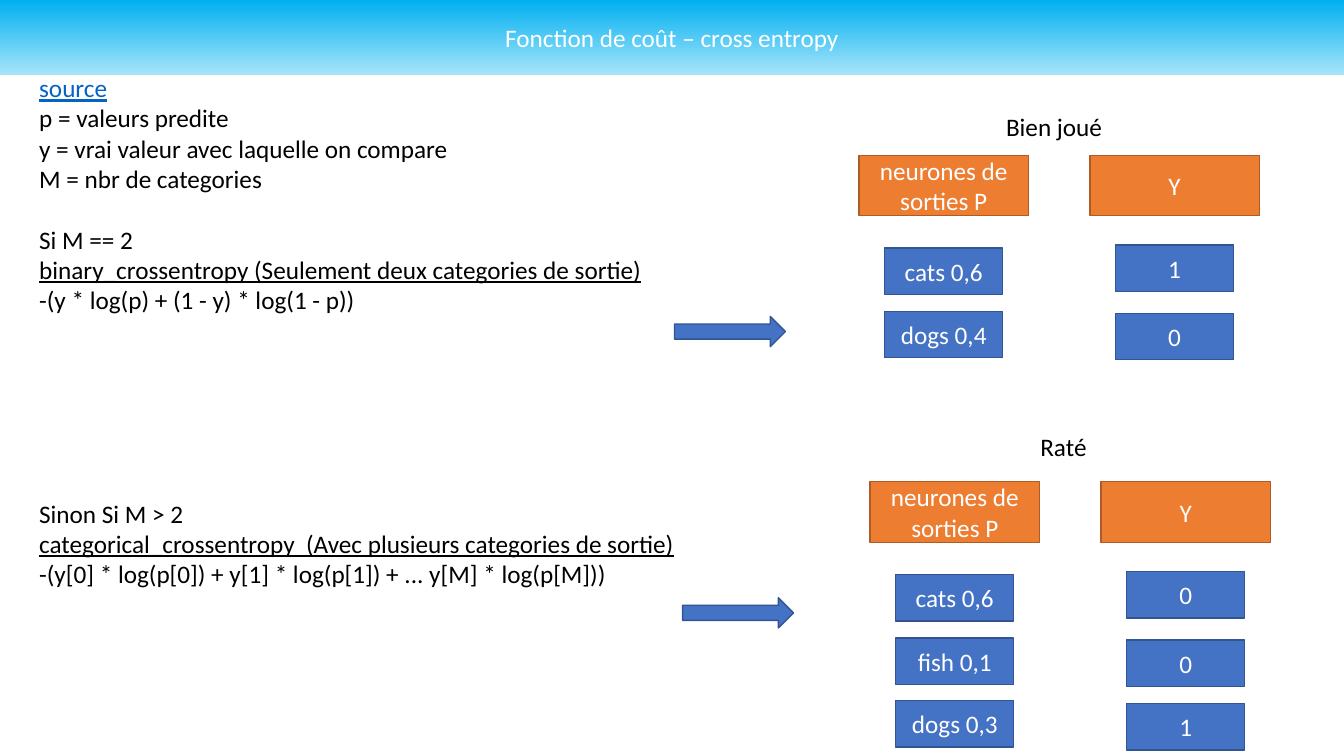
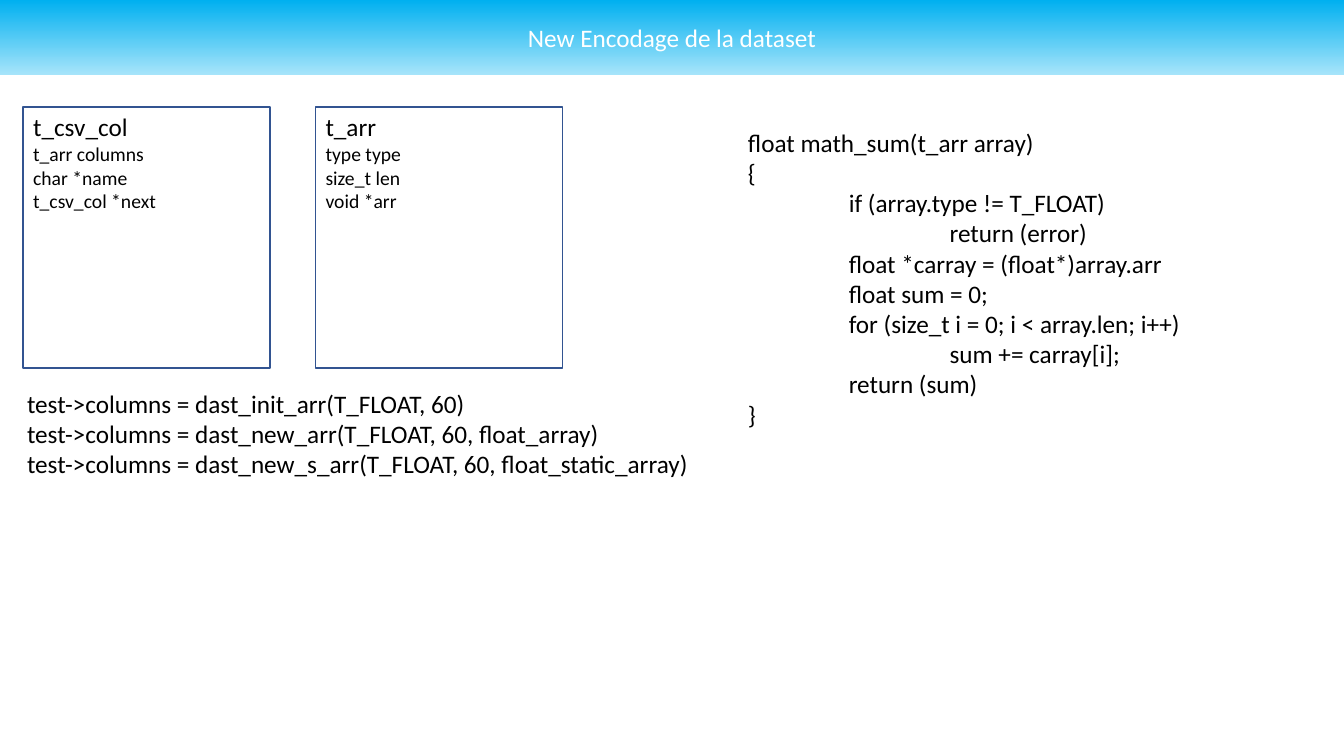
"""Build two slides on cross entropy cost and data set encoding."""
from pptx import Presentation
from pptx.dml.color import RGBColor
from pptx.enum.shapes import MSO_SHAPE
from pptx.enum.text import MSO_ANCHOR, PP_ALIGN
from pptx.util import Inches, Pt

RECTANGLE, ARROW = MSO_SHAPE.RECTANGLE, MSO_SHAPE.RIGHT_ARROW
TOP, MIDDLE = MSO_ANCHOR.TOP, MSO_ANCHOR.MIDDLE
LEFT, CENTER = PP_ALIGN.LEFT, PP_ALIGN.CENTER

WIDTH, HEIGHT, BAND_HEIGHT = 13.33, 7.5, 0.74
FONT, BODY_SIZE, SMALL_SIZE, LINE_HEIGHT = "Calibri", 18, 14, 21.8
BLACK, WHITE, LINK = "000000", "FFFFFF", "0563C1"
BLUE, BLUE_EDGE = "4472C4", "325491"
ORANGE, ORANGE_EDGE = "ED7D31", "AF5C24"
BAND_COLORS = ("00B0F0", "A6E4FA")

COST_TITLE = "Fonction de coût – cross entropy"
COST_LINES = [
    {"text": "source", "color": LINK, "underline": True},
    {"text": "p = valeurs predite"},
    {"text": "y = vrai valeur avec laquelle on compare"},
    {"text": "M = nbr de categories"},
    {"text": "Si M == 2", "skipped_lines": 1},
    {"text": "binary_crossentropy (Seulement deux categories de sortie)", "underline": True},
    {"text": "-(y * log(p) + (1 - y) * log(1 - p))"},
    {"text": "Sinon Si M > 2", "skipped_lines": 6},
    {"text": "categorical_crossentropy  (Avec plusieurs categories de sortie)", "underline": True},
    {"text": "-(y[0] * log(p[0]) + y[1] * log(p[1]) + ... y[M] * log(p[M]))"},
]
PANELS = [
    {"caption": "Bien joué", "caption_box": (9.88, 1.06, 1.17, 0.4), "origin": (8.52, 1.54),
     "outputs": ["cats 0,6", "dogs 0,4"], "targets": ["1", "0"], "arrow": (6.69, 3.14)},
    {"caption": "Raté", "caption_box": (10.22, 4.23, 0.66, 0.4), "origin": (8.63, 4.78),
     "outputs": ["cats 0,6", "fish 0,1", "dogs 0,3"], "targets": ["0", "0", "1"],
     "arrow": (6.77, 5.93)},
]
COLUMNS = [
    ("neurones de sorties P", "outputs", (0.92, 1.55, 2.17)),
    ("Y", "targets", (0.89, 1.57, 2.2)),
]
COLUMN_STEP = 2.29
HEADER_SIZE, CELL_SIZE, ARROW_SIZE = (1.68, 0.6), (1.17, 0.46), (1.1, 0.3)

ENCODING_TITLE = "New Encodage de la dataset"
STRUCTURES = [
    ("t_csv_col", ["t_arr columns", "char *name", "t_csv_col *next"]),
    ("t_arr", ["type type", "size_t len", "void *arr"]),
]
STRUCTURE_LEFT, STRUCTURE_TOP, STRUCTURE_STEP = 0.23, 1.06, 2.9
STRUCTURE_SIZE = (2.45, 2.59)
CALLS = [
    "test->columns = dast_init_arr(T_FLOAT, 60)",
    "test->columns = dast_new_arr(T_FLOAT, 60, float_array)",
    "test->columns = dast_new_s_arr(T_FLOAT, 60, float_static_array)",
]
SUM_FUNCTION = [
    (0, "float math_sum(t_arr array)"),
    (0, "{"),
    (1, "if (array.type != T_FLOAT)"),
    (2, "return (error)"),
    (1, "float *carray = (float*)array.arr"),
    (1, "float sum = 0;"),
    (1, "for (size_t i = 0; i < array.len; i++)"),
    (2, "sum += carray[i];"),
    (1, "return (sum)"),
    (0, "}"),
]


def rgb(color):
    return RGBColor.from_string(color)


def write(frame, lines, color=BLACK, align=LEFT):
    for index, line in enumerate(lines):
        paragraph = frame.paragraphs[0] if index == 0 else frame.add_paragraph()
        paragraph.alignment = align
        if "skipped_lines" in line:
            paragraph.space_before = Pt(line["skipped_lines"] * LINE_HEIGHT)
        if line.get("depth"):
            paragraph._p.get_or_add_pPr().set("marL", str(Inches(line["depth"])))
        run = paragraph.add_run()
        run.text = line["text"]
        run.font.name = FONT
        run.font.size = Pt(line.get("size", BODY_SIZE))
        run.font.underline = line.get("underline", False)
        run.font.color.rgb = rgb(line.get("color", color))


def add_text(slide, box, lines):
    frame = slide.shapes.add_textbox(*map(Inches, box)).text_frame
    frame.word_wrap = False
    write(frame, lines)


def add_box(slide, box, fill=None, edge=None, kind=RECTANGLE):
    shape = slide.shapes.add_shape(kind, *map(Inches, box))
    shape.shadow.inherit = False
    if fill:
        shape.fill.solid()
        shape.fill.fore_color.rgb = rgb(fill)
    else:
        shape.fill.background()
    if edge:
        shape.line.color.rgb = rgb(edge)
        shape.line.width = Pt(1)
    else:
        shape.line.fill.background()
    return shape


def add_label(shape, text):
    shape.text_frame.word_wrap = True
    shape.text_frame.vertical_anchor = MIDDLE
    write(shape.text_frame, [{"text": text}], WHITE, CENTER)


def add_titled_slide(presentation, title):
    slide = presentation.slides.add_slide(presentation.slide_layouts[6])
    band = add_box(slide, (0, 0, WIDTH, BAND_HEIGHT))
    band.fill.gradient()
    band.fill.gradient_angle = 270
    for stop, color in zip(band.fill.gradient_stops, BAND_COLORS):
        stop.color.rgb = rgb(color)
    add_label(band, title)
    return slide


def add_panel(slide, panel):
    left, top = panel["origin"]
    inset = (HEADER_SIZE[0] - CELL_SIZE[0]) / 2
    add_text(slide, panel["caption_box"], [{"text": panel["caption"]}])
    for column, (header, key, drops) in enumerate(COLUMNS):
        x = left + column * COLUMN_STEP
        add_label(add_box(slide, (x, top, *HEADER_SIZE), ORANGE, ORANGE_EDGE), header)
        for text, drop in zip(panel[key], drops):
            cell = add_box(slide, (x + inset, top + drop, *CELL_SIZE), BLUE, BLUE_EDGE)
            add_label(cell, text)
    add_box(slide, (*panel["arrow"], *ARROW_SIZE), BLUE, BLUE_EDGE, ARROW)


def build_cost_slide(presentation):
    slide = add_titled_slide(presentation, COST_TITLE)
    add_text(slide, (0.29, 0.67, 6.57, 5.25), COST_LINES)
    for panel in PANELS:
        add_panel(slide, panel)


def build_encoding_slide(presentation):
    slide = add_titled_slide(presentation, ENCODING_TITLE)
    for index, (name, fields) in enumerate(STRUCTURES):
        left = STRUCTURE_LEFT + index * STRUCTURE_STEP
        shape = add_box(slide, (left, STRUCTURE_TOP, *STRUCTURE_SIZE), edge=BLUE_EDGE)
        shape.text_frame.vertical_anchor = TOP
        field_lines = [{"text": field, "size": SMALL_SIZE} for field in fields]
        write(shape.text_frame, [{"text": name}] + field_lines)
    add_text(slide, (0.17, 3.8, 6.85, 1.01), [{"text": call} for call in CALLS])
    add_text(slide, (7.32, 1.21, 4.54, 3.13),
             [{"text": text, "depth": depth} for depth, text in SUM_FUNCTION])


def main():
    presentation = Presentation()
    presentation.slide_width = Inches(WIDTH)
    presentation.slide_height = Inches(HEIGHT)
    build_cost_slide(presentation)
    build_encoding_slide(presentation)
    presentation.save("out.pptx")


if __name__ == "__main__":
    main()
